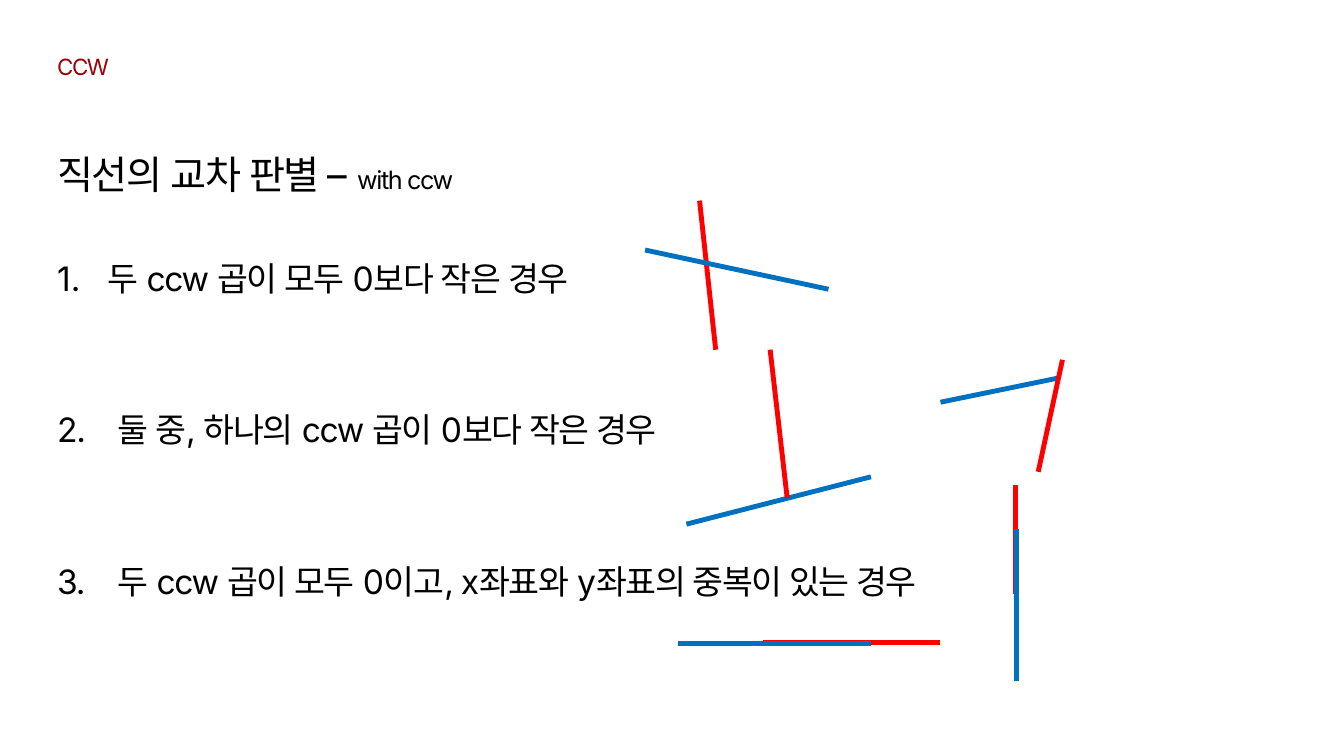
from pptx import Presentation
from pptx.dml.color import RGBColor
from pptx.enum.shapes import MSO_CONNECTOR
from pptx.enum.text import MSO_ANCHOR
from pptx.util import Pt
from lxml.etree import SubElement
from pptx.oxml.ns import qn

COLORS = {"title": "9B0005", "text": "000000", "first": "FF0000", "second": "0070C0"}


class SlideBuilder:
    font = "Inter"
    tracking = "-100"
    line_width = 3.5

    def __init__(self, deck):
        self.page = deck.slides.add_slide(deck.slide_layouts[6])

    def box(self, left, top, width, height, anchor):
        box = self.page.shapes.add_textbox(Pt(left), Pt(top), Pt(width), Pt(height))
        frame = box.text_frame
        frame.word_wrap = True
        frame.vertical_anchor = anchor
        return frame

    def para(self, frame, spans, color, before=10, first=False):
        para = frame.paragraphs[0] if first else frame.add_paragraph()
        layout = {"line_spacing": 0.9, "space_before": Pt(before)}
        for name, value in layout.items():
            setattr(para, name, value)
        for text, size in spans:
            self.span(para, text, size, color)
        return para

    def span(self, para, text, size, color):
        span = para.add_run()
        span.text = text
        for name, value in {"name": self.font, "size": Pt(size)}.items():
            setattr(span.font, name, value)
        span.font.color.rgb = RGBColor.from_string(COLORS[color])
        properties = span.font._element
        properties.set("spc", self.tracking)
        SubElement(properties, qn("a:ea"), typeface=self.font)

    def number(self, para, indent):
        properties = para._p.get_or_add_pPr()
        properties.set("marL", str(Pt(indent)))
        properties.set("indent", str(-Pt(indent)))
        SubElement(properties, qn("a:buFont"), typeface="+mj-lt")
        SubElement(properties, qn("a:buAutoNum"), type="arabicPeriod")

    def tab(self, para, position):
        stops = SubElement(para._p.get_or_add_pPr(), qn("a:tabLst"))
        SubElement(stops, qn("a:tab"), pos=str(Pt(position)), algn="l")

    def line(self, color, *ends):
        line = self.page.shapes.add_connector(MSO_CONNECTOR.STRAIGHT, *map(Pt, ends))
        line.line.color.rgb = RGBColor.from_string(COLORS[color])
        line.line.width = Pt(self.line_width)
        SubElement(line._element.spPr, qn("a:effectLst"))


SEGMENTS = [
    ("second", 490.3, 374.4, 622.1, 340.6),
    ("first", 499.7, 143.3, 511.2, 249.8),
    ("first", 550.1, 249.8, 562.3, 355.7),
    ("second", 671.8, 287.3, 756, 270),
    ("first", 758.9, 257, 741.6, 337),
    ("second", 460.8, 178.6, 591.8, 206.6),
    ("first", 545, 459, 671.8, 459),
    ("second", 484.6, 459.6, 622.1, 459.6),
    ("first", 725.5, 424.1, 725.5, 346.3),
    ("second", 726.3, 378, 726.3, 486.7),
]


def main():
    deck = Presentation()
    for name, value in {"slide_width": Pt(960), "slide_height": Pt(540)}.items():
        setattr(deck, name, value)
    slide = SlideBuilder(deck)

    title = slide.box(33.8, 31.7, 828, 33.8, MSO_ANCHOR.MIDDLE)
    slide.para(title, [("CCW", 16)], "title", before=0, first=True)

    body = slide.box(33.8, 107.3, 892.8, 378.7, MSO_ANCHOR.TOP)
    heading = [("직선의 교차 판별 – ", 28), ("with ccw", 18)]
    slide.para(body, heading, "text", first=True)
    case = slide.para(body, [("두 ccw 곱이 모두 0보다 작은 경우", 24)], "text", before=46.1)
    slide.number(case, 36)
    for text in (
        "2.\t둘 중, 하나의 ccw 곱이 0보다 작은 경우",
        "3.\t두 ccw 곱이 모두 0이고, x좌표와 y좌표의 중복이 있는 경우",
    ):
        case = slide.para(body, [(text, 24)], "text", before=82.3)
        slide.tab(case, 43.2)

    for segment in SEGMENTS:
        slide.line(*segment)
    deck.save("out.pptx")


if __name__ == "__main__":
    main()
